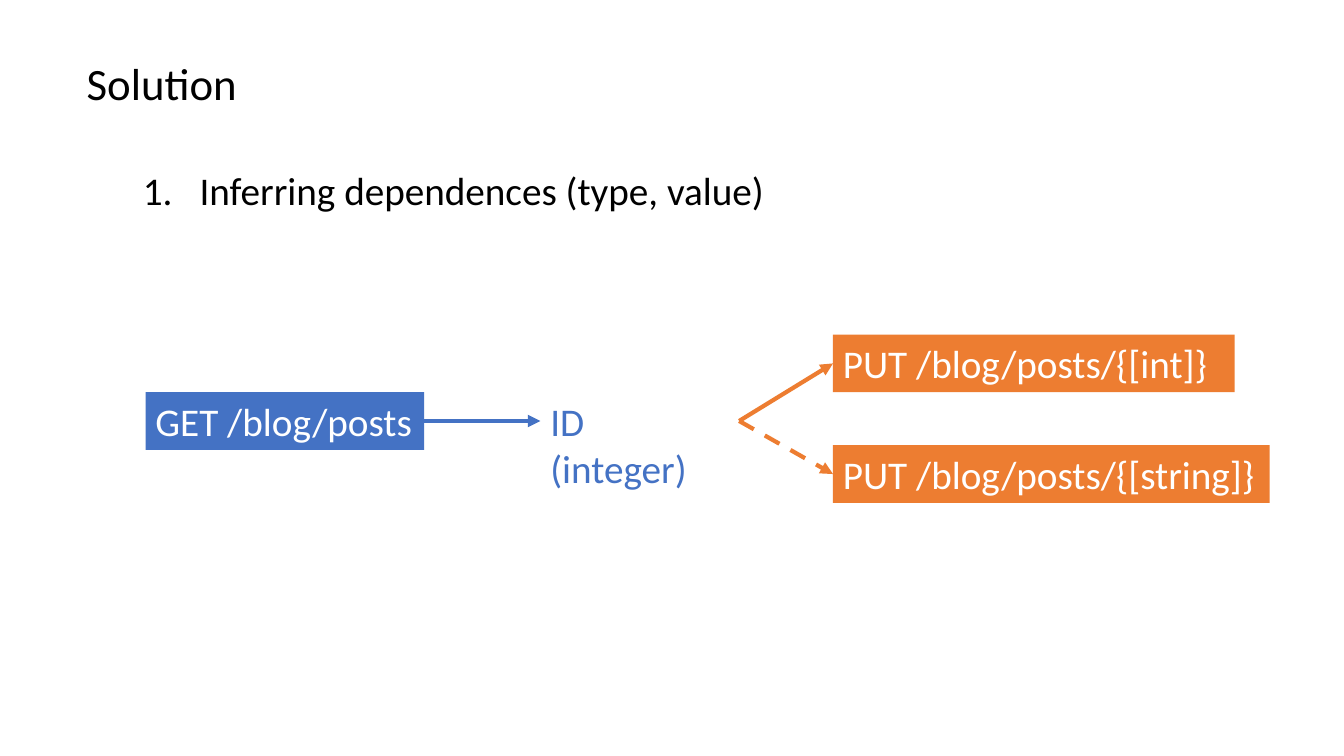
import pptx
import pptx.util
import pptx.dml.color
import pptx.enum.dml
import pptx.enum.shapes
import pptx.enum.text
import pptx.oxml
import lxml.etree

Pt = pptx.util.Pt
FONT = "Calibri"
BLACK, WHITE, BLUE, ORANGE = "000000", "FFFFFF", "4472C4", "ED7D31"
TITLE = ("Solution", (54.7, 36, 381.6, 46))
STEP = ("Inferring dependences (type, value)", (95, 98.6, 472.3, 52.6))
HIGH = 41.2
BOXES = {
    "get": ("GET /blog/posts", 104, 280.1, 199, BLUE),
    "int": ("PUT /blog/posts/{[int]}", 595, 239, 287, ORANGE),
    "string": ("PUT /blog/posts/{[string]}", 595, 318, 312, ORANGE),
}
FIELD = ("ID (integer)", 386, 280.1, 140)
FORK = 528
INDENT = 40.5


def paint(hue):
    return pptx.dml.color.RGBColor.from_string(hue)


def write(shape, text, size, hue):
    frame = shape.text_frame
    frame.word_wrap = True
    frame.auto_size = pptx.enum.text.MSO_AUTO_SIZE.NONE
    frame.vertical_anchor = pptx.enum.text.MSO_ANCHOR.TOP
    frame.text = text
    para = frame.paragraphs[0]
    para.alignment = pptx.enum.text.PP_ALIGN.LEFT
    para.line_spacing = 1.0
    para.font.name = FONT
    para.font.size = Pt(size)
    para.font.color.rgb = paint(hue)
    return para


def add_box(slide, text, left, top, width, hue):
    rect = pptx.enum.shapes.MSO_SHAPE.RECTANGLE
    box = slide.shapes.add_shape(rect, Pt(left), Pt(top), Pt(width), Pt(HIGH))
    box.shadow.inherit = False
    box.fill.solid()
    box.fill.fore_color.rgb = paint(hue)
    box.line.fill.background()
    write(box, text, 28, WHITE)


def add_arrow(slide, start, end, hue, dashed=False):
    kind = pptx.enum.shapes.MSO_CONNECTOR.STRAIGHT
    arrow = slide.shapes.add_connector(kind, *map(Pt, start + end))
    arrow.line.width = Pt(3)
    arrow.line.color.rgb = paint(hue)
    if dashed:
        arrow.line.dash_style = pptx.enum.dml.MSO_LINE.DASH
    tip = lxml.etree.SubElement(arrow.line._get_or_add_ln(), pptx.oxml.ns.qn("a:tailEnd"))
    tip.set("type", "triangle")
    lxml.etree.SubElement(arrow._element.spPr, pptx.oxml.ns.qn("a:effectLst"))


def number(para):
    para.line_spacing = 1.5
    props = para._p.get_or_add_pPr()
    props.set("marL", str(Pt(INDENT)))
    props.set("indent", str(-Pt(INDENT)))
    mark = pptx.oxml.ns.qn("a:buAutoNum")
    for tag in ("a:buFont", "a:buAutoNum"):
        item = lxml.etree.Element(pptx.oxml.ns.qn(tag))
        if item.tag == mark:
            item.set("type", "arabicPeriod")
        else:
            item.set("typeface", "+mj-lt")
        place = props.find(pptx.oxml.ns.qn("a:defRPr"))
        place.addprevious(item)


def main():
    deck = pptx.Presentation()
    deck.slide_width, deck.slide_height = Pt(960), Pt(540)
    slide = deck.slides.add_slide(deck.slide_layouts[5])

    text, area = TITLE
    title = slide.shapes.title
    title.left, title.top, title.width, title.height = map(Pt, area)
    write(title, text, 32, BLACK)

    text, area = STEP
    number(write(slide.shapes.add_textbox(*map(Pt, area)), text, 28, BLACK))

    for box in BOXES.values():
        add_box(slide, *box)

    text, left, top, width = FIELD
    area = (left, top, width, HIGH)
    write(slide.shapes.add_textbox(*map(Pt, area)), text, 28, BLUE)

    middle = top + HIGH / 2
    source = BOXES["get"]
    add_arrow(slide, (source[1] + source[3], middle), (left, middle), BLUE)
    for name, dashed in (("int", False), ("string", True)):
        target = BOXES[name]
        end = (target[1], target[2] + HIGH / 2)
        add_arrow(slide, (FORK, middle), end, ORANGE, dashed)

    deck.save("out.pptx")


if __name__ == "__main__":
    main()
